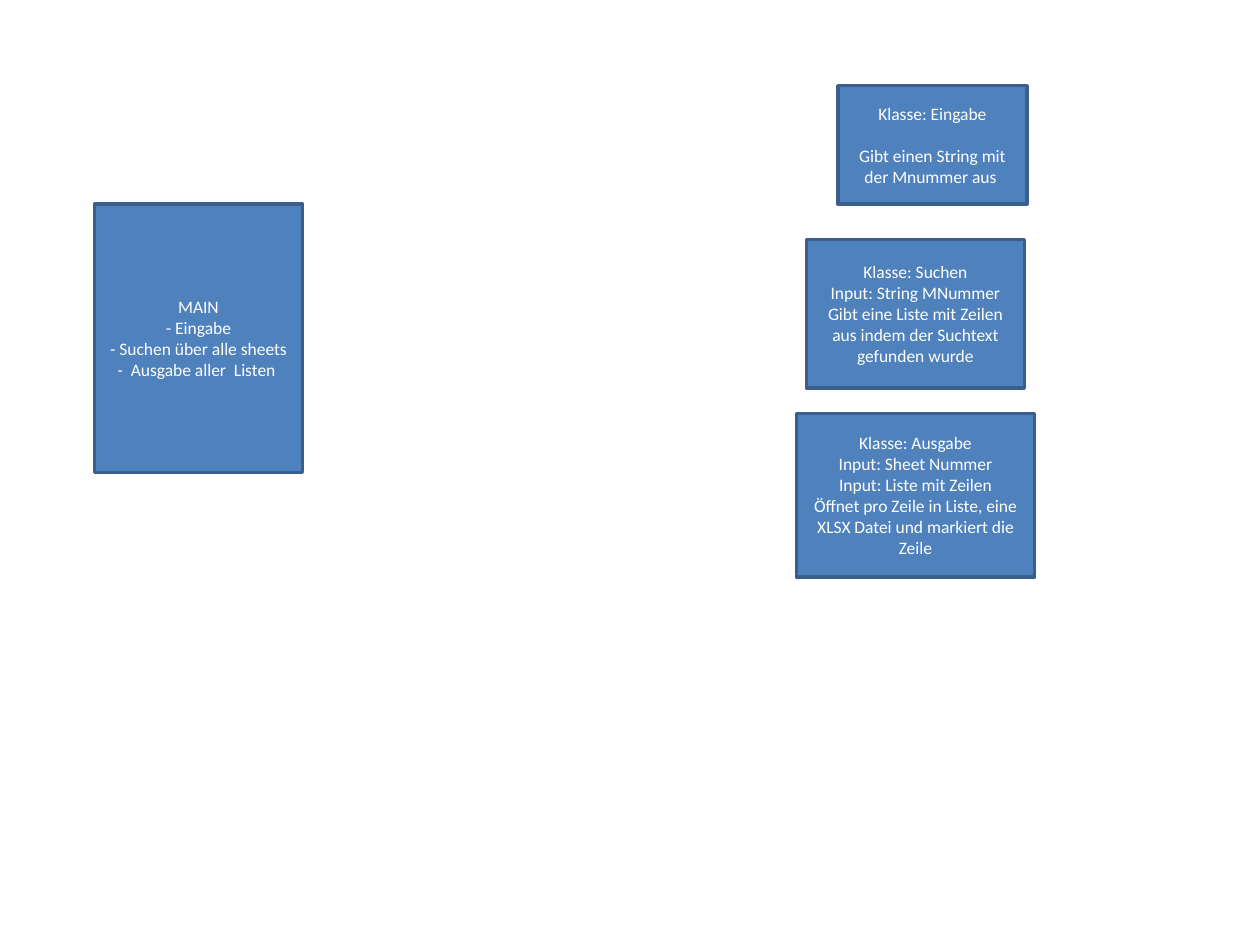
import pptx
import pptx.util
import pptx.dml.color
import pptx.enum.shapes
import pptx.enum.text
from dataclasses import dataclass


@dataclass(frozen=True)
class Theme:
    font: str = "Calibri"
    size: int = 10
    line_pitch: float = 12.2
    border: int = 2
    fill: str = "4F81BD"
    outline: str = "3A5F8C"
    text: str = "FFFFFF"


theme = Theme()
rgb = pptx.dml.color.RGBColor.from_string

deck = pptx.Presentation()
deck.slide_width = pptx.util.Inches(10)
deck.slide_height = pptx.util.Inches(7.5)
column = deck.slide_width / 100
row = deck.slide_height / 100
slide = deck.slides.add_slide(deck.slide_layouts[6])


def write(frame, lines, size=theme.size, color=theme.text, gap_after_title=0):
    frame.word_wrap = True
    frame.vertical_anchor = pptx.enum.text.MSO_ANCHOR.MIDDLE
    for index, line in enumerate(lines):
        paragraph = frame.add_paragraph() if index else frame.paragraphs[0]
        paragraph.alignment = pptx.enum.text.PP_ALIGN.CENTER
        if index == 1 and gap_after_title:
            paragraph.space_before = pptx.util.Pt(gap_after_title)
        run = paragraph.add_run()
        run.text = line
        run.font.name = theme.font
        run.font.size = pptx.util.Pt(size)
        run.font.color.rgb = rgb(color)


modules = [
    (66.5, 9.07, 15, 12.53, theme.line_pitch,
     ["Klasse: Eingabe", "Gibt einen String mit der Mnummer aus "]),
    (64, 25.33, 17.3, 15.73, 0,
     ["Klasse: Suchen", "Input: String MNummer",
      "Gibt eine Liste mit Zeilen aus indem der Suchtext gefunden wurde"]),
    (63.2, 43.73, 18.9, 17.33, 0,
     ["Klasse: Ausgabe", "Input: Sheet Nummer", "Input: Liste mit Zeilen",
      "Öffnet pro Zeile in Liste, eine XLSX Datei und markiert die Zeile"]),
    (7.5, 21.6, 16.5, 28.4, 0,
     ["MAIN", "- Eingabe", "- Suchen über alle sheets",
      "-  Ausgabe aller  Listen "]),
]

for left, top, width, height, title_gap, lines in modules:
    module = slide.shapes.add_shape(
        pptx.enum.shapes.MSO_SHAPE.RECTANGLE,
        round(left * column), round(top * row),
        round(width * column), round(height * row))
    module.shadow.inherit = False
    module.fill.solid()
    module.fill.fore_color.rgb = rgb(theme.fill)
    module.line.color.rgb = rgb(theme.outline)
    module.line.width = pptx.util.Pt(theme.border)
    write(module.text_frame, lines, gap_after_title=title_gap)

deck.save("out.pptx")
